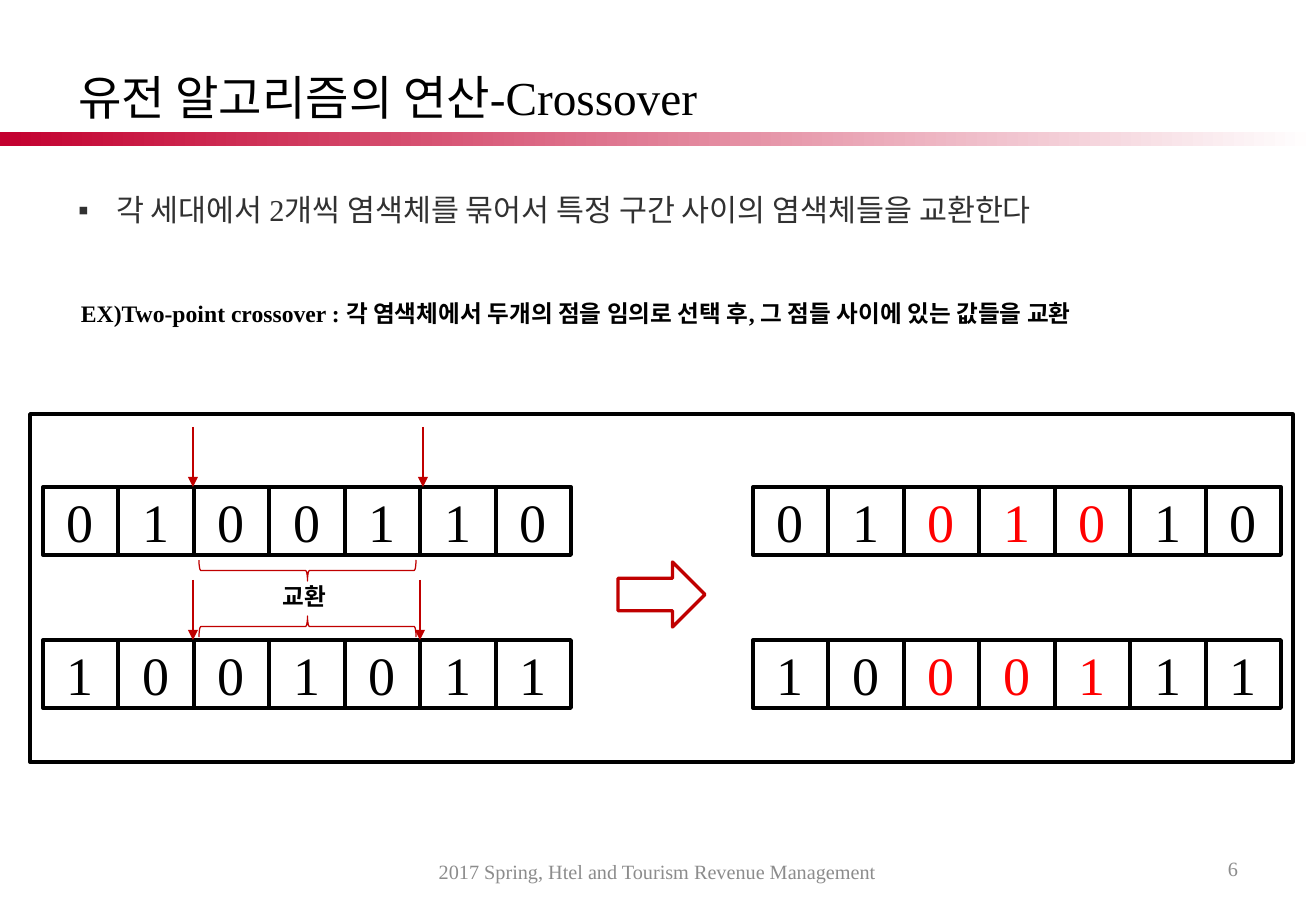
from lxml.etree import SubElement
from pptx import Presentation
from pptx.dml.color import RGBColor
from pptx.enum.shapes import MSO_CONNECTOR as Connector, MSO_SHAPE as Shape
from pptx.enum.text import MSO_ANCHOR as Anchor, MSO_AUTO_SIZE as AutoSize, PP_ALIGN as Align
from pptx.oxml.ns import qn
from pptx.util import Pt

EMU_PER_PX = 7526
BLACK = RGBColor(0x00, 0x00, 0x00)
WHITE = RGBColor(0xFF, 0xFF, 0xFF)
CHARCOAL = RGBColor(0x31, 0x31, 0x31)
GRAY = RGBColor(0x8C, 0x8C, 0x8C)
CRIMSON = RGBColor(0xC3, 0x00, 0x2F)
DARK_RED = RGBColor(0xC0, 0x00, 0x00)
RED = RGBColor(0xFF, 0x00, 0x00)

GENE_COUNT = 7
SWAPPED = range(2, 5)
PARENT_LEFT, CHILD_LEFT = 43, 753
TOP_ROW, BOTTOM_ROW = 487, 640


def px(*lengths):
    return [length * EMU_PER_PX for length in lengths]


class SlideBuilder:
    font = "Times New Roman"

    def __init__(self, deck):
        self.slide = deck.slides.add_slide(deck.slide_layouts[1])
        self.shapes = self.slide.shapes

    def set_text(self, frame, text, size, color, align=Align.LEFT, anchor=Anchor.MIDDLE, bold=False):
        frame.text = text
        frame.vertical_anchor = anchor
        paragraph = frame.paragraphs[0]
        paragraph.alignment = align
        for run in paragraph.runs:
            run.font.name = self.font
            run.font.size = Pt(size)
            run.font.bold = bold
            run.font.color.rgb = color
        return paragraph

    def placeholder(self, index, box, text, size, color, anchor):
        holder = self.slide.placeholders[index]
        holder.left, holder.top, holder.width, holder.height = px(*box)
        holder.text_frame.auto_size = AutoSize.NONE
        return self.set_text(holder.text_frame, text, size, color, anchor=anchor)

    def title(self, box, text):
        self.placeholder(0, box, text, 28, BLACK, Anchor.MIDDLE)

    def bullet(self, box, text):
        paragraph = self.placeholder(1, box, text, 18, CHARCOAL, Anchor.TOP)
        paragraph.line_spacing = 2.0
        paragraph.space_before = Pt(0)
        properties = paragraph._p.get_or_add_pPr()
        indent = 38 * EMU_PER_PX
        properties.set("marL", str(indent))
        properties.set("indent", str(-indent))
        SubElement(properties, qn("a:buChar")).set("char", "▪")

    def label(self, box, text, size, color, wrap=True, **style):
        frame = self.shapes.add_textbox(*px(*box)).text_frame
        frame.word_wrap = wrap
        frame.auto_size = AutoSize.NONE if wrap else AutoSize.SHAPE_TO_FIT_TEXT
        self.set_text(frame, text, size, color, **style)

    def outline(self, kind, box, color, weight, rotation=0, shapes=None):
        shape = (shapes or self.shapes).add_shape(kind, *px(*box))
        shape.shadow.inherit = False
        shape.fill.background()
        shape.line.color.rgb = color
        shape.line.width = Pt(weight)
        shape.rotation = rotation
        return shape

    def gradient_bar(self, box):
        bar = self.shapes.add_shape(Shape.RECTANGLE, *px(*box))
        bar.shadow.inherit = False
        bar.line.fill.background()
        bar.fill.gradient()
        bar.fill.gradient_angle = 0
        for stop, color in zip(bar.fill.gradient_stops, (CRIMSON, WHITE)):
            stop.color.rgb = color

    def chromosome(self, left, top, genes, swapped=()):
        group = self.shapes.add_group_shape()
        edges = [left + i * 151 // 2 for i in range(GENE_COUNT + 1)]
        for i, gene in enumerate(genes):
            box = (edges[i], top, edges[i + 1] - edges[i], 68)
            cell = self.outline(Shape.RECTANGLE, box, BLACK, 2.25, shapes=group.shapes)
            self.set_text(cell.text_frame, gene, 32, RED if i in swapped else BLACK, Align.CENTER)

    def cut_arrow(self, x, tip):
        arrow = self.shapes.add_connector(Connector.STRAIGHT, *px(x, tip - 60, x, tip))
        arrow.line.color.rgb = DARK_RED
        arrow.line.width = Pt(1.5)
        SubElement(arrow.line._get_or_add_ln(), qn("a:tailEnd")).set("type", "triangle")
        SubElement(arrow._element.spPr, qn("a:effectLst"))


def main():
    deck = Presentation()
    deck.slide_width, deck.slide_height = px(1316, 911)
    page = SlideBuilder(deck)

    page.title((66, 63, 1185, 68), "유전 알고리즘의 연산-Crossover")
    page.bullet((66, 149, 1220, 689), "각 세대에서 2개씩 염색체를 묶어서 특정 구간 사이의 염색체들을 교환한다")
    page.gradient_bar((0, 132, 1316, 14))
    page.label((943, 844, 307, 49), "6", 12, GRAY, align=Align.RIGHT)
    page.label((377, 847, 561, 49), "2017 Spring, Htel and Tourism Revenue Management",
               12, GRAY, align=Align.CENTER)
    page.label((69, 293, 1132, 41),
               "EX)Two-point crossover : 각 염색체에서 두개의 점을 임의로 선택 후, 그 점들 사이에 있는 값들을 교환",
               14, BLACK, wrap=False, anchor=Anchor.TOP, bold=True)

    page.chromosome(PARENT_LEFT, TOP_ROW, "0100110")
    page.chromosome(PARENT_LEFT, BOTTOM_ROW, "1001011")
    page.chromosome(CHILD_LEFT, TOP_ROW, "0101010", SWAPPED)
    page.chromosome(CHILD_LEFT, BOTTOM_ROW, "1000111", SWAPPED)

    for x, tip in ((193, TOP_ROW), (423, TOP_ROW), (193, BOTTOM_ROW), (420, BOTTOM_ROW)):
        page.cut_arrow(x, tip)
    for top, rotation in ((462, 270), (518, 90)):
        page.outline(Shape.LEFT_BRACE, (297, top, 21, 217), DARK_RED, 0.75, rotation)
    page.label((271, 576, 72, 41), "교환", 14, BLACK, wrap=False, anchor=Anchor.TOP, bold=True)
    page.outline(Shape.RIGHT_ARROW, (618, 562, 87, 65), DARK_RED, 2)
    page.outline(Shape.RECTANGLE, (30, 414, 1263, 348), BLACK, 2)

    deck.save("out.pptx")


if __name__ == "__main__":
    main()
